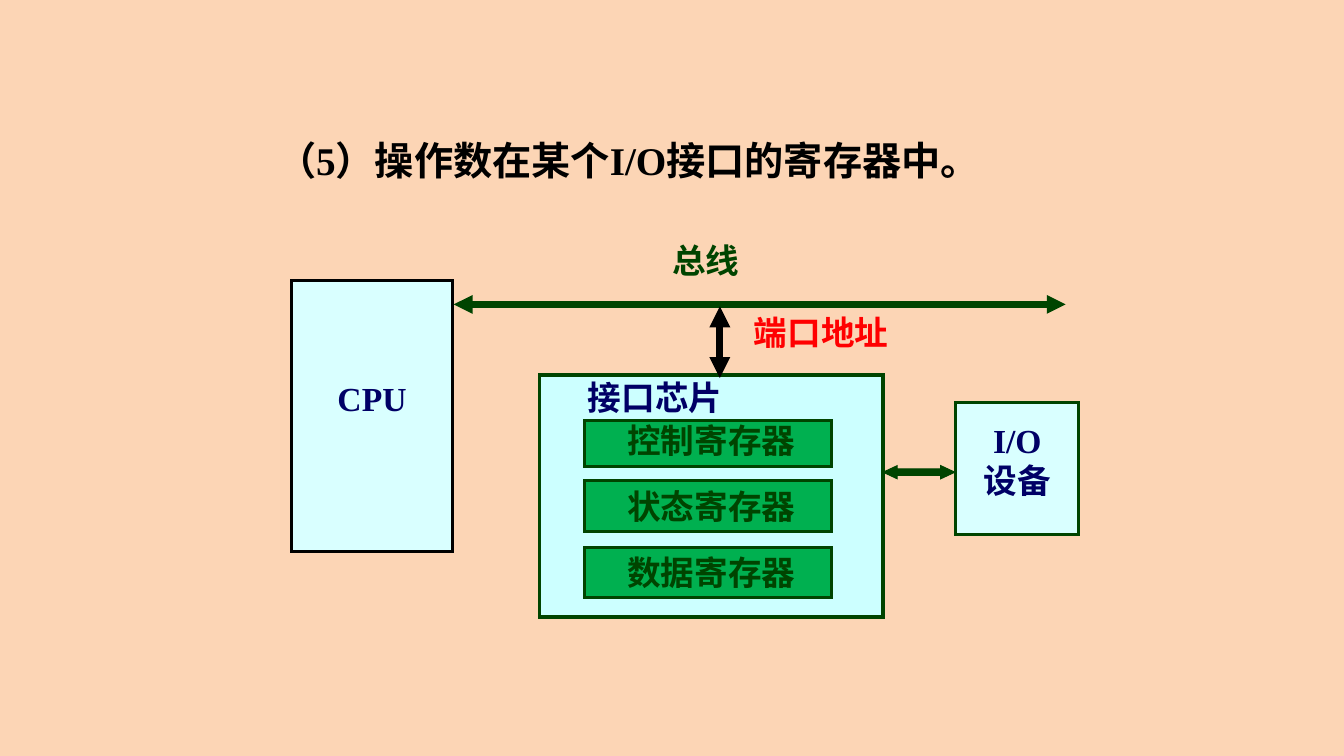
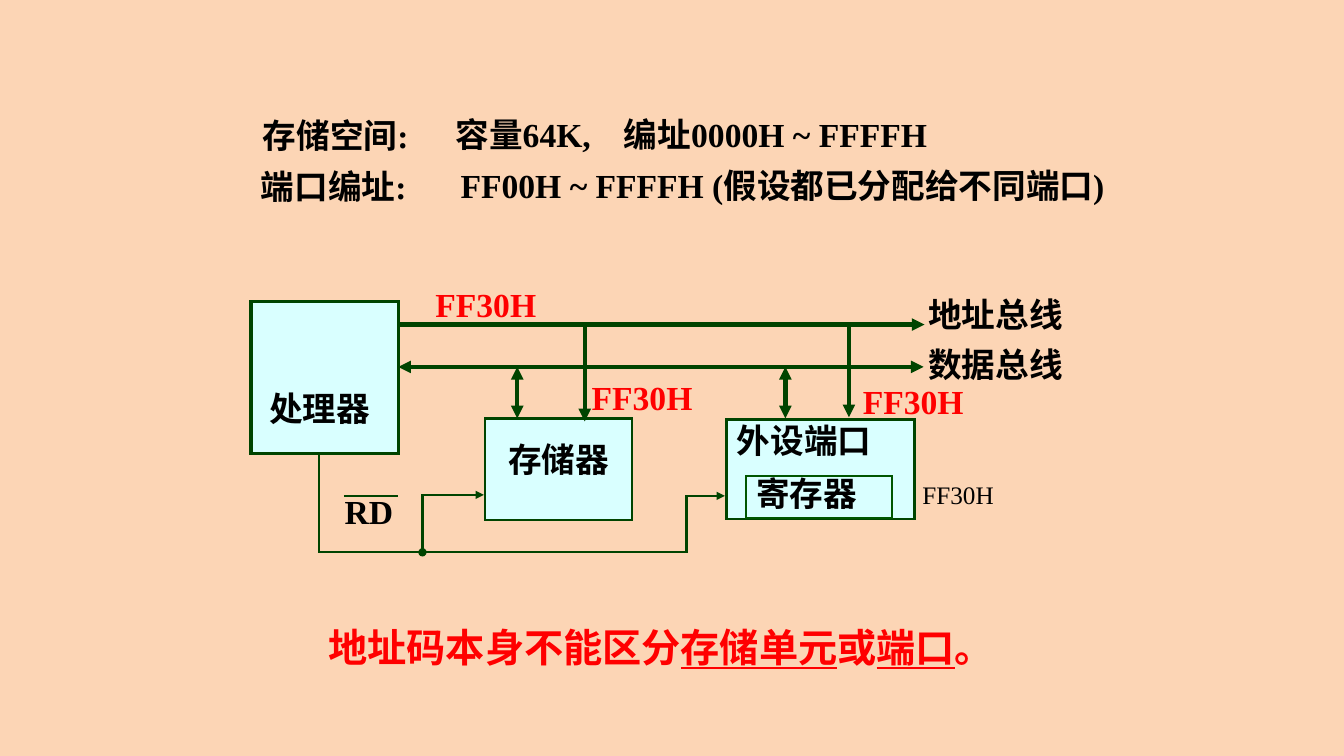
from lxml import etree
from pptx import Presentation
from pptx import util as u
from pptx.dml.color import RGBColor
from pptx.enum import shapes, text
from pptx.oxml import ns

COLORS = {
    "background": "FCD5B5",
    "ink": "000000",
    "navy": "000066",
    "green": "004400",
    "register_line": "005600",
    "red": "FF0000",
    "unit": "D9FFFF",
    "chip": "CCFFFF",
    "register": "00B050",
}
LATIN = "Times New Roman"
CJK = "Noto Sans CJK SC"
LEFT, CENTER = text.PP_ALIGN.LEFT, text.PP_ALIGN.CENTER


def rgb(name):
    return RGBColor.from_string(COLORS[name])


def write(frame, lines, color, size=24, bold=True, align=LEFT):
    frame.vertical_anchor = text.MSO_ANCHOR.MIDDLE
    for index, line in enumerate(lines):
        paragraph = frame.paragraphs[0] if index == 0 else frame.add_paragraph()
        paragraph.alignment = align
        font = paragraph.font
        font.name, font.size, font.bold = LATIN, u.Pt(size), bold
        font.color.rgb = rgb(color)
        defaults = paragraph._p.pPr.find(ns.qn("a:defRPr"))
        etree.SubElement(defaults, ns.qn("a:ea"), typeface=CJK)
        for words, underlined in [(line, False)] if isinstance(line, str) else line:
            run = paragraph.add_run()
            run.text = words
            if underlined:
                run.font.underline = True


def label(slide, left, top, width, words, color="ink", size=24, bold=True):
    height = 0.57 if size > 24 else 0.5 if size == 24 else 0.4
    area = slide.shapes.add_textbox(*map(u.Inches, (left, top, width, height)))
    area.text_frame.word_wrap = True
    write(area.text_frame, [words], color, size, bold)


def outline(shape, color, width, head=None, tail=None):
    shape.line.color.rgb = rgb(color)
    shape.line.width = u.Pt(width)
    stroke = shape.line._get_or_add_ln()
    etree.SubElement(stroke, ns.qn("a:miter"), lim="800000")
    for tag, end in (("a:headEnd", head), ("a:tailEnd", tail)):
        if end:
            etree.SubElement(stroke, ns.qn(tag), type=end)


def box(slide, place, lines, fill="unit", line="green", width=2.25, color="ink",
        align=CENTER, inset=(0.1, 0, 0.1, 0)):
    block = slide.shapes.add_shape(shapes.MSO_SHAPE.RECTANGLE, *map(u.Inches, place))
    block.shadow.inherit = False
    if fill:
        block.fill.solid()
        block.fill.fore_color.rgb = rgb(fill)
    else:
        block.fill.background()
    outline(block, line, width)
    frame = block.text_frame
    frame.word_wrap = True
    (frame.margin_left, frame.margin_top,
     frame.margin_right, frame.margin_bottom) = map(u.Inches, inset)
    write(frame, lines, color, align=align)


def bus(slide, start, end, color="green", width=3, head=None, tail=None):
    link = slide.shapes.add_connector(
        shapes.MSO_CONNECTOR.STRAIGHT, *map(u.Inches, start + end))
    outline(link, color, width, head, tail)
    etree.SubElement(link._element.spPr, ns.qn("a:effectLst"))


def signal(slide, points, head=None):
    start, *corners = [(u.Inches(x), u.Inches(y)) for x, y in points]
    builder = slide.shapes.build_freeform(*start)
    builder.add_line_segments(corners, close=False)
    wire = builder.convert_to_shape()
    wire.shadow.inherit = False
    wire.fill.background()
    outline(wire, "green", 1.5, head, "triangle")


def two_way_arrow(slide, place):
    arrow = slide.shapes.add_shape(
        shapes.MSO_SHAPE.LEFT_RIGHT_ARROW, *map(u.Inches, place))
    arrow.adjustments[0], arrow.adjustments[1] = 0.5, 1.07
    arrow.shadow.inherit = False
    arrow.fill.solid()
    arrow.fill.fore_color.rgb = rgb("green")
    outline(arrow, "green", 0.75)


def io_register_slide(slide):
    label(slide, 2.65, 1.3, 8, "（5）操作数在某个I/O接口的寄存器中。", size=28)
    box(slide, (2.89, 2.78, 1.6, 2.69), ["CPU"], line="ink", color="navy",
        inset=(0.1, 0, 0.1, 0.36))
    box(slide, (9.48, 3.99, 1.22, 1.31), ["I/O", "设备"], color="navy",
        inset=(0.1, 0, 0.1, 0.16))
    box(slide, (5.35, 3.72, 3.41, 2.4), ["接口芯片"], fill="chip", width=2.5,
        color="navy", align=LEFT, inset=(0.48, 0, 0.1, 1.96))
    for name, top, height, lift in (("控制寄存器", 4.17, 0.46, 0.06),
                                    ("状态寄存器", 4.77, 0.5, 0),
                                    ("数据寄存器", 5.43, 0.5, 0)):
        box(slide, (5.8, top, 2.45, height), [name], fill="register",
            color="green", inset=(0.16, 0, 0.1, lift))
    bus(slide, (4.5, 3.02), (10.57, 3.02), width=4.5, head="triangle", tail="triangle")
    bus(slide, (7.14, 3.04), (7.14, 3.75), "ink", 5, "triangle", "triangle")
    two_way_arrow(slide, (8.76, 4.62, 0.71, 0.13))
    label(slide, 6.57, 2.33, 1.7, "总线", "green")
    label(slide, 7.38, 3.04, 1.7, "端口地址", "red")


def address_space_slide(slide):
    for left, top, width, words in (
            (2.51, 1.09, 1.9, "存储空间:"),
            (4.42, 1.08, 1.7, "容量64K,"),
            (6.09, 1.08, 4, "编址0000H ~ FFFFH"),
            (2.49, 1.6, 1.9, "端口编址:"),
            (4.47, 1.59, 7, "FF00H ~ FFFFH (假设都已分配给不同端口)"),
            (9.11, 2.87, 2, "地址总线"),
            (9.11, 3.36, 2, "数据总线"),
            (3.32, 4.82, 0.98, "RD")):
        label(slide, left, top, width, words)

    box(slide, (7.21, 4.16, 1.86, 0.99), ["外设端口"], width=2, align=LEFT,
        inset=(0.1, 0, 0.1, 0.58))
    box(slide, (7.4, 4.72, 1.45, 0.42), ["寄存器"], fill=None,
        line="register_line", width=1.75, align=LEFT, inset=(0.1, 0, 0.1, 0.08))
    box(slide, (4.81, 4.15, 1.46, 1.01), ["存储器"], width=2,
        inset=(0.1, 0, 0.1, 0.2))

    signal(slide, [(4.19, 5.48), (4.19, 4.91), (4.8, 4.91)], head="oval")
    signal(slide, [(3.16, 4.5), (3.16, 5.48), (6.81, 5.48), (6.81, 4.92), (7.19, 4.92)])
    bus(slide, (3.41, 4.92), (3.95, 4.92), width=1.5)
    bus(slide, (3.95, 3.22), (9.17, 3.22), tail="triangle")
    bus(slide, (3.95, 3.64), (9.16, 3.64), head="triangle", tail="triangle")
    for x, top, bottom in ((5.8, 3.23, 4.18), (8.42, 3.2, 4.14)):
        bus(slide, (x, top), (x, bottom), tail="triangle")
    for x in (5.13, 7.79):
        bus(slide, (x, 3.64), (x, 4.15), head="triangle", tail="triangle")
    box(slide, (2.49, 2.99, 1.46, 1.51), ["处理器"], align=LEFT,
        inset=(0.18, 0.61, 0.1, 0))

    label(slide, 9.05, 4.71, 1.1, "FF30H", size=18, bold=False)
    for left, top in ((4.22, 2.77), (5.77, 3.69), (8.46, 3.73)):
        label(slide, left, top, 1.3, "FF30H", "red")
    label(slide, 3.16, 6.13, 7.36,
          [("地址码本身不能区分", False), ("存储单元", True), ("或", False),
           ("端口", True), ("。", False)], "red", 28)


def main():
    deck = Presentation()
    deck.slide_width, deck.slide_height = u.Inches(13.33), u.Inches(7.5)
    backdrop = deck.slide_master.background.fill
    backdrop.solid()
    backdrop.fore_color.rgb = rgb("background")
    for draw in (io_register_slide, address_space_slide):
        draw(deck.slides.add_slide(deck.slide_layouts[6]))
    deck.save("out.pptx")


if __name__ == "__main__":
    main()
